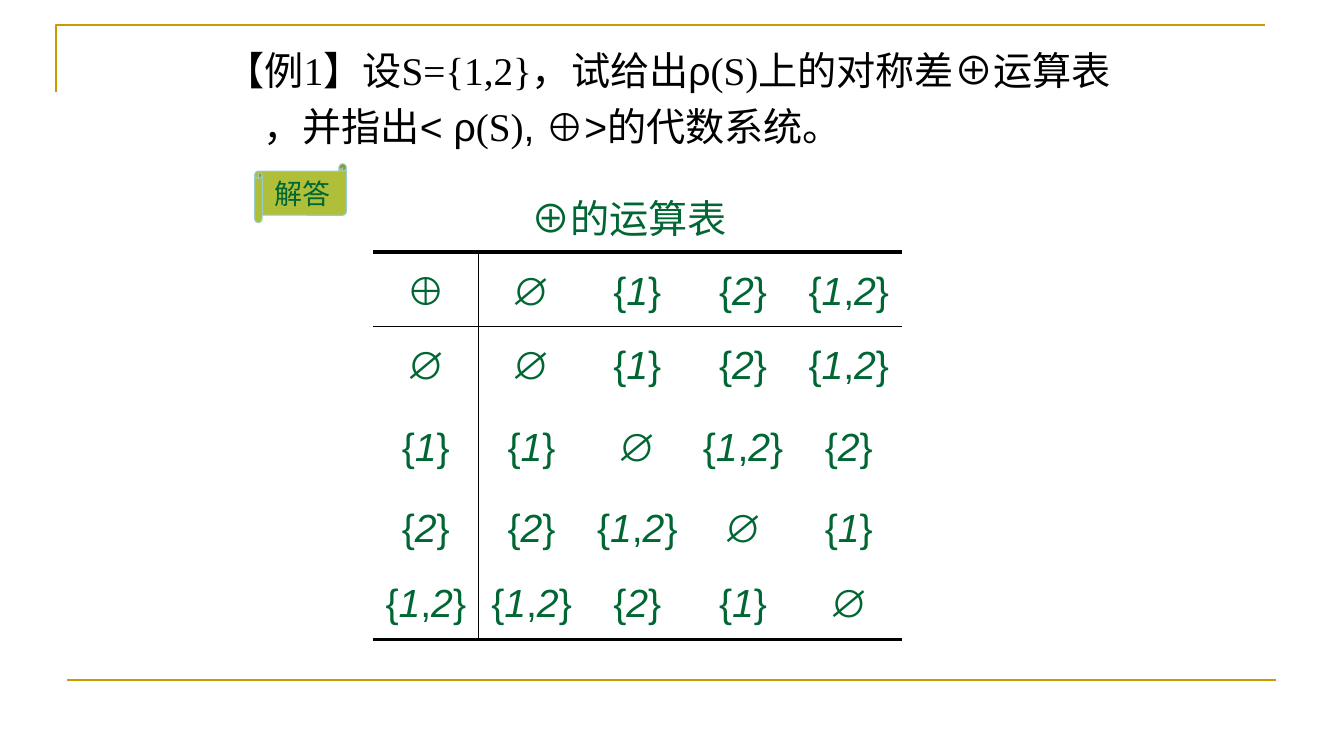
from itertools import groupby

from lxml.etree import SubElement
from pptx import Presentation
from pptx.dml.color import RGBColor
from pptx.enum.shapes import MSO_CONNECTOR, MSO_SHAPE
from pptx.enum.text import MSO_ANCHOR, MSO_AUTO_SIZE, PP_ALIGN
from pptx.oxml.ns import qn
from pptx.util import Pt

BLACK = RGBColor(0x00, 0x00, 0x00)
GREEN = RGBColor(0x00, 0x66, 0x33)
GOLD = RGBColor(0xCC, 0x99, 0x00)
OLIVE = RGBColor(0xAF, 0xBF, 0x39)
PALE_TEAL = RGBColor(0x99, 0xCC, 0xCC)
SERIF, SANS = "Times New Roman", "Arial"
NO_TABLE_STYLE = "{2D5ABB26-0587-4C30-8999-92F81FD0307C}"

QUESTION = [
    ("【例1】设S={1,2}，试给出", SERIF),
    ("ρ", SANS),
    ("(S)上的对称差", SERIF),
    ("⊕", SANS),
    ("运算表 ，并指出", SERIF),
    ("< ρ", SANS),
    ("(S)", SERIF),
    (", ⊕>的代数系统。", SANS),
]
SUBSETS = ["∅", "{1}", "{2}", "{1,2}"]
ROW_HEIGHTS = [53.25, 52.75, 64, 53, 53.5]


def add_run(paragraph, text, **formats):
    """Append a run with the given font values."""
    run = paragraph.add_run()
    run.text = text
    color = formats.pop("color", GREEN)
    for name, value in {"name": SANS, "size": Pt(28), **formats}.items():
        setattr(run.font, name, value)
    run.font.color.rgb = color


def set_frame(text_frame, **formats):
    """Apply the text frame values."""
    for name, value in {"word_wrap": True, "auto_size": MSO_AUTO_SIZE.NONE, **formats}.items():
        setattr(text_frame, name, value)


def add_rule(slide, start, end, color, weight):
    """Draw a straight line between two points."""
    rule = slide.shapes.add_connector(
        MSO_CONNECTOR.STRAIGHT, *(Pt(value) for value in (*start, *end)))
    SubElement(rule._element.spPr, qn("a:effectLst"))
    rule.line.color.rgb = color
    rule.line.width = Pt(weight)


def add_frame_lines(slide, left, top, width, height):
    """Draw the gold corner at the top and the gold rule at the bottom."""
    builder = slide.shapes.build_freeform(Pt(left), Pt(top + 48), scale=1.0)
    builder.add_line_segments(
        [(Pt(left), Pt(top)), (Pt(left + width), Pt(top))], close=False)
    corner = builder.convert_to_shape()
    corner.shadow.inherit = False
    corner.fill.background()
    corner.line.color.rgb = GOLD
    corner.line.width = Pt(1.5)
    bottom = top + height
    add_rule(slide, (left + 8, bottom), (left + width + 8, bottom), GOLD, 1.5)


def add_question(slide, left, top, width, height):
    """Fill the title with the exercise text on a hanging indent."""
    title = slide.shapes.title
    box = {"left": left, "top": top, "width": width, "height": height}
    for name, value in box.items():
        setattr(title, name, Pt(value))
    set_frame(title.text_frame, vertical_anchor=MSO_ANCHOR.TOP)
    paragraph = title.text_frame.paragraphs[0]
    formats = {"alignment": PP_ALIGN.LEFT, "line_spacing": 1.2, "space_before": Pt(0)}
    for name, value in formats.items():
        setattr(paragraph, name, value)
    properties = paragraph._p.get_or_add_pPr()
    properties.set("marL", str(Pt(27)))
    properties.set("indent", str(Pt(-27)))
    for text, font in QUESTION:
        add_run(paragraph, text, name=font, color=BLACK)


def add_answer_badge(slide, left, top, width, height):
    """Draw the scroll that marks the answer."""
    badge = slide.shapes.add_shape(
        MSO_SHAPE.HORIZONTAL_SCROLL, Pt(left), Pt(top), Pt(width), Pt(height))
    badge.shadow.inherit = False
    badge.fill.solid()
    badge.fill.fore_color.rgb = OLIVE
    badge.line.color.rgb = PALE_TEAL
    badge.line.width = Pt(0.75)
    set_frame(badge.text_frame, vertical_anchor=MSO_ANCHOR.MIDDLE)
    paragraph = badge.text_frame.paragraphs[0]
    paragraph.alignment = PP_ALIGN.CENTER
    add_run(paragraph, "解答", size=Pt(20))


def add_caption(slide, left, top, width, height):
    """Write the heading above the operation table."""
    caption = slide.shapes.add_textbox(Pt(left), Pt(top), Pt(width), Pt(height))
    set_frame(caption.text_frame)
    paragraph = caption.text_frame.paragraphs[0]
    paragraph.alignment = PP_ALIGN.CENTER
    add_run(paragraph, "⊕的运算表")


def add_operation_table(slide, left, top, width, height):
    """Build the symmetric difference table of the subsets with its rules."""
    size = len(SUBSETS) + 1
    frame = slide.shapes.add_table(size, size, Pt(left), Pt(top), Pt(width), Pt(height))
    table = frame.table
    table.first_row = table.horz_banding = False
    table._tbl.tblPr.find(qn("a:tableStyleId")).text = NO_TABLE_STYLE
    for column in table.columns:
        column.width = Pt(width / size)
    rows = [["⊕", *SUBSETS]]
    for first, label in enumerate(SUBSETS):
        rows.append([label, *(SUBSETS[first ^ second] for second in range(len(SUBSETS)))])
    for row, row_height, texts in zip(table.rows, ROW_HEIGHTS, rows):
        row.height = Pt(row_height)
        for cell, text in zip(row.cells, texts):
            cell.vertical_anchor = MSO_ANCHOR.MIDDLE
            cell.margin_top = Pt(7)
            cell.fill.background()
            paragraph = cell.text_frame.paragraphs[0]
            paragraph.alignment = PP_ALIGN.CENTER
            for is_digit, characters in groupby(text, str.isdigit):
                add_run(paragraph, "".join(characters), italic=is_digit)
    for offset, weight in ((0, 2.25), (ROW_HEIGHTS[0], 1), (height, 2.25)):
        add_rule(slide, (left, top + offset), (left + width, top + offset), BLACK, weight)
    divider = left + width / size
    add_rule(slide, (divider, top), (divider, top + height), BLACK, 1)


def main():
    """Build and save the slide."""
    presentation = Presentation()
    presentation.slide_width, presentation.slide_height = Pt(960.48), Pt(540)
    slide = presentation.slides.add_slide(presentation.slide_layouts[5])
    add_frame_lines(slide, 40, 18, 864, 468)
    add_question(slide, 154, 22.5, 647, 90)
    add_caption(slide, 335.5, 135.5, 228, 41)
    add_operation_table(slide, 266.5, 180, 378, sum(ROW_HEIGHTS))
    add_answer_badge(slide, 182, 117, 65.5, 42)
    presentation.save("out.pptx")


if __name__ == "__main__":
    main()
